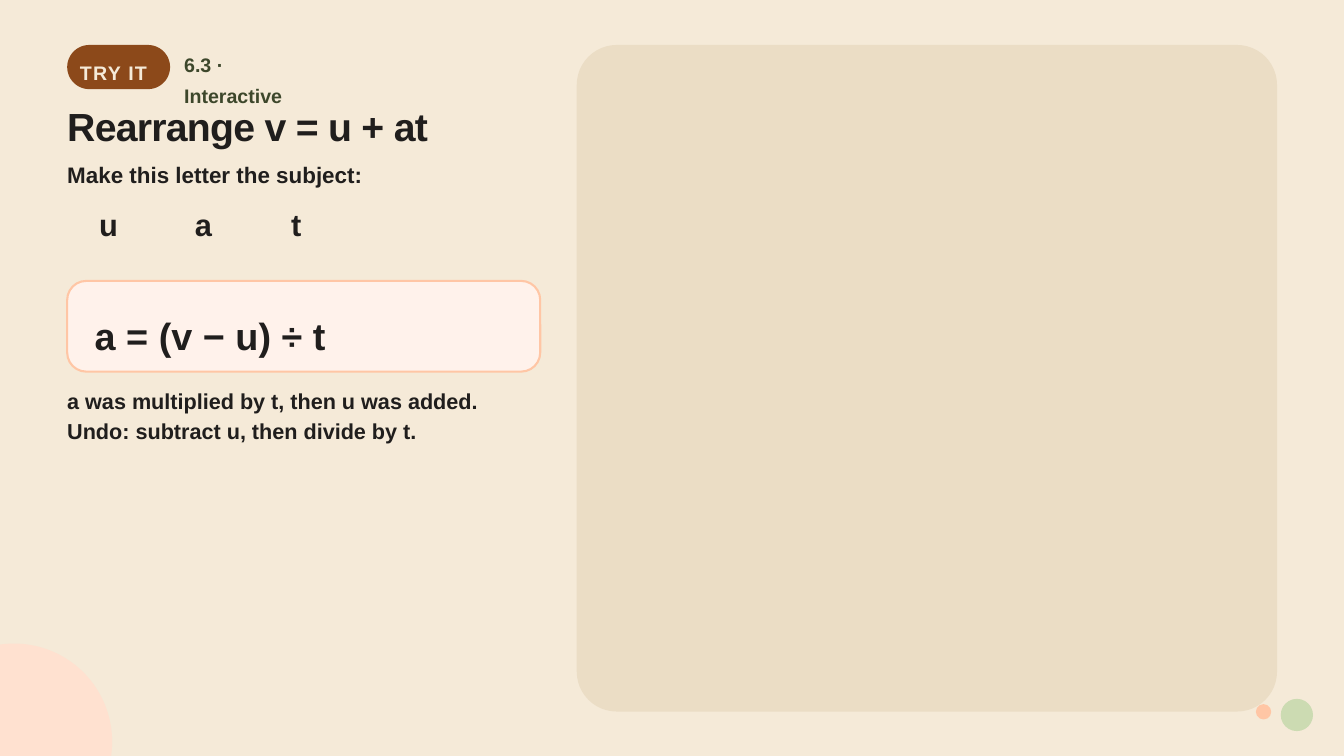
from pptx import Presentation
from pptx.dml.color import RGBColor
from pptx.enum.shapes import MSO_SHAPE
from pptx.enum.text import MSO_ANCHOR, MSO_AUTO_SIZE, PP_ALIGN
from pptx.util import Cm, Pt

CREAM = RGBColor(0xF5, 0xEA, 0xD8)
SAND = RGBColor(0xEB, 0xDD, 0xC5)
BLUSH = RGBColor(0xFF, 0xE1, 0xD0)
PEACH = RGBColor(0xFF, 0xC6, 0xA5)
SHELL = RGBColor(0xFF, 0xF2, 0xEB)
SAGE = RGBColor(0xCC, 0xDB, 0xB2)
BROWN = RGBColor(0x8C, 0x49, 0x1A)
MOSS = RGBColor(0x3D, 0x47, 0x2B)
INK = RGBColor(0x20, 0x1E, 0x1D)

MARGIN = 2.54
COLUMN = 17.88
TOP = 1.7


def write(shape, text, size, leading, color=INK, align=PP_ALIGN.LEFT, tracking=0, left=0, top=0):
    """Fill a shape with one bold paragraph in the given format."""
    frame = shape.text_frame
    frame.word_wrap = True
    frame.auto_size = MSO_AUTO_SIZE.NONE
    frame.vertical_anchor = MSO_ANCHOR.TOP
    frame.margin_left, frame.margin_top = Cm(left), Cm(top)
    frame.margin_right = frame.margin_bottom = 0
    paragraph = frame.paragraphs[0]
    paragraph.alignment = align
    paragraph.line_spacing = Pt(leading)
    paragraph.space_before = Pt(0)
    run = paragraph.add_run()
    run.text = text
    run.font.name = "Arial"
    run.font.size = Pt(size)
    run.font.bold = True
    run.font.color.rgb = color
    if tracking:
        run.font._element.set("spc", str(round(tracking * 100)))


def add_label(slide, box, text, **style):
    """Add a text box at box, given in centimetres."""
    write(slide.shapes.add_textbox(*map(Cm, box)), text, **style)


def add_block(slide, kind, box, fill, corner=None, outline=None):
    """Add a flat filled shape, with an optional corner ratio and outline."""
    block = slide.shapes.add_shape(kind, *map(Cm, box))
    block.shadow.inherit = False
    block.fill.solid()
    block.fill.fore_color.rgb = fill
    if corner is not None:
        block.adjustments[0] = corner
    if outline is None:
        block.line.fill.background()
    else:
        block.line.color.rgb = outline
        block.line.width = Pt(2.25)
    return block


def add_title(slide, text):
    """Place and format the title placeholder."""
    title = slide.shapes.title
    title.left, title.top, title.width, title.height = map(Cm, (MARGIN, 4.09, COLUMN, 1.4))
    write(title, text, size=42, leading=43.7, tracking=-0.8)


def add_letters(slide):
    """Set out the letter choices in a row with equal gaps."""
    left = MARGIN
    for letter, width in (("u", 3.12), ("a", 3.1), ("t", 2.95)):
        add_label(slide, (left, 7.77, width, 2.29), letter, size=33, leading=39.6,
                  align=PP_ALIGN.CENTER, tracking=-0.7)
        left += width + 0.48


def main():
    """Build the rearranging exercise slide."""
    deck = Presentation()
    deck.slide_width, deck.slide_height = Cm(50.8), Cm(28.58)
    slide = deck.slides.add_slide(deck.slide_layouts[5])
    slide.background.fill.solid()
    slide.background.fill.fore_color.rgb = CREAM

    for left, top, diameter, color in (
        (-3.18, 24.33, 7.42, BLUSH),
        (48.41, 26.42, 1.22, SAGE),
        (47.47, 26.62, 0.58, PEACH),
    ):
        add_block(slide, MSO_SHAPE.OVAL, (left, top, diameter, diameter), color)

    badge = add_block(slide, MSO_SHAPE.ROUNDED_RECTANGLE, (MARGIN, TOP, 3.89, 1.67), BROWN, corner=0.5)
    write(badge, "TRY IT", size=21, leading=32.5, color=CREAM, tracking=1.3, left=0.24, top=0.09)
    add_label(slide, (6.96, 1.75, 5.28, 1.35), "6.3 · Interactive", size=21, leading=32.5, color=MOSS)

    add_title(slide, "Rearrange v = u + at")
    add_label(slide, (MARGIN, 5.92, COLUMN, 1.35), "Make this letter the subject:", size=24, leading=33.6)
    add_letters(slide)

    answer = add_block(slide, MSO_SHAPE.ROUNDED_RECTANGLE, (MARGIN, 10.62, COLUMN, 3.43), SHELL,
                       corner=0.21, outline=PEACH)
    write(answer, "a = (v − u) ÷ t", size=40.5, leading=62.8, left=0.83, top=0.5)
    add_label(slide, (MARGIN, 14.48, COLUMN, 2.46),
              "a was multiplied by t, then u was added. Undo: subtract u, then divide by t.",
              size=23.2, leading=32.5)

    add_block(slide, MSO_SHAPE.ROUNDED_RECTANGLE, (21.8, TOP, 26.47, 25.2), SAND, corner=0.06)
    deck.save("out.pptx")


if __name__ == "__main__":
    main()
